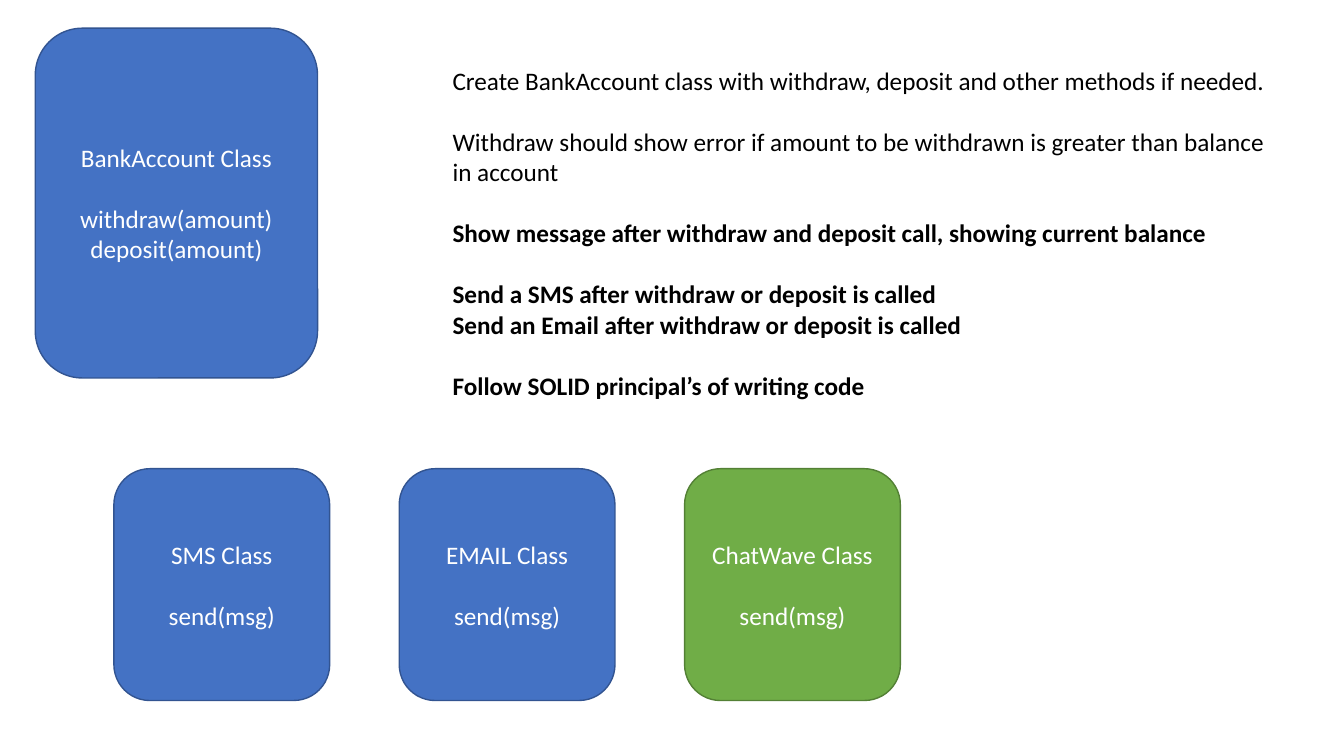
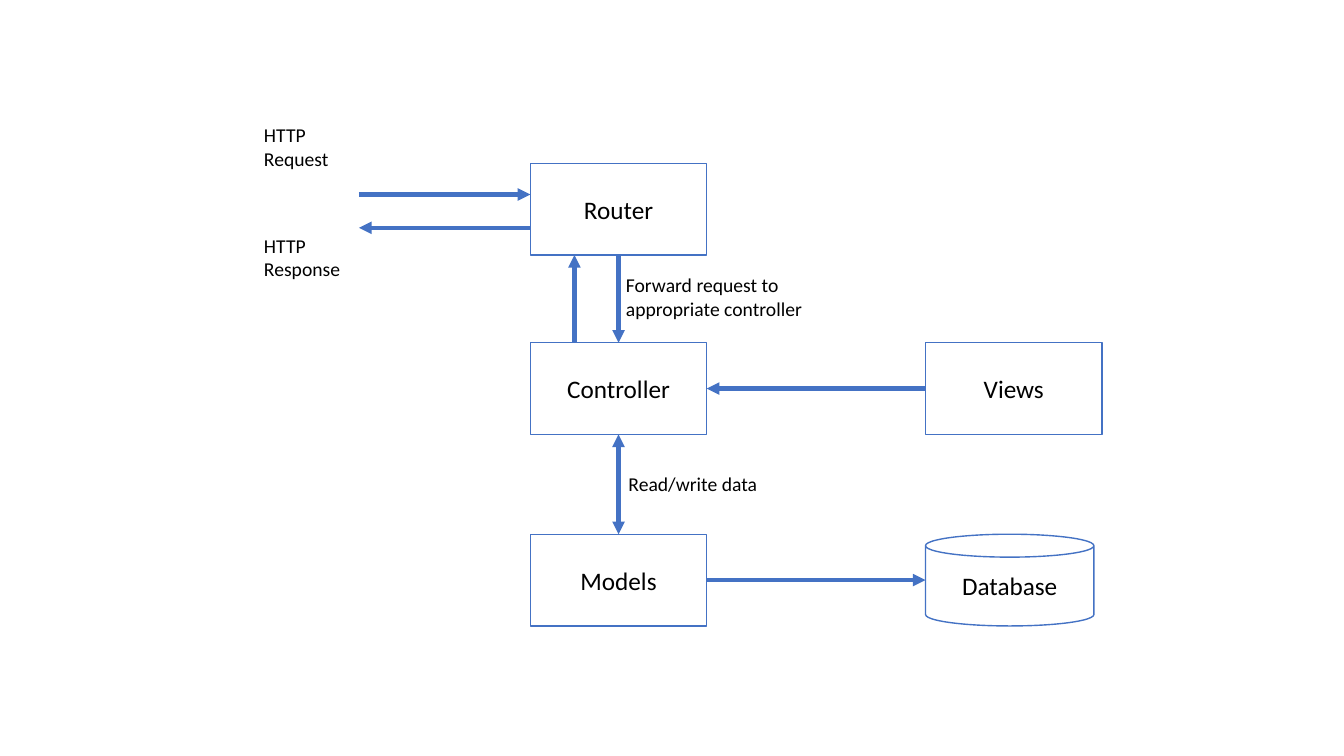
from lxml import etree
from pptx import Presentation
from pptx.dml.color import RGBColor
from pptx.enum.shapes import MSO_CONNECTOR, MSO_SHAPE
from pptx.enum.text import MSO_ANCHOR, PP_ALIGN
from pptx.oxml.ns import qn
from pptx.util import Inches, Pt

BLUE = RGBColor(0x44, 0x72, 0xC4)
DARK_BLUE = RGBColor(0x32, 0x54, 0x91)
GREEN = RGBColor(0x70, 0xAD, 0x47)
DARK_GREEN = RGBColor(0x53, 0x80, 0x35)
WHITE = RGBColor(0xFF, 0xFF, 0xFF)
BLACK = RGBColor(0, 0, 0)

FONT = "Calibri"
BODY_SIZE, LABEL_SIZE = 18, 14
GROUP_GAP = Pt(22)

ROUNDED, RECTANGLE, CAN = MSO_SHAPE.ROUNDED_RECTANGLE, MSO_SHAPE.RECTANGLE, MSO_SHAPE.CAN
STRAIGHT = MSO_CONNECTOR.STRAIGHT
LEFT, CENTER, MIDDLE = PP_ALIGN.LEFT, PP_ALIGN.CENTER, MSO_ANCHOR.MIDDLE
TOP_SITE, LEFT_SITE, BOTTOM_SITE, RIGHT_SITE = range(4)


def add_text(page, groups, left, top, width, height, shape=None, fill=None, line=None,
             size=BODY_SIZE, color=BLACK, bold_from=None):
    """Add a text box, or a filled shape with centred text, from groups of lines.

    Groups stand one line apart; those from index bold_from on are bold.
    """
    area = [Inches(length) for length in (left, top, width, height)]
    if shape is None:
        box = page.shapes.add_textbox(*area)
    else:
        box = page.shapes.add_shape(shape, *area)
        box.shadow.inherit = False
        box.fill.solid()
        box.fill.fore_color.rgb = fill
        box.line.color.rgb = line
        box.line.width = Pt(1)
        box.text_frame.vertical_anchor = MIDDLE
    frame = box.text_frame
    frame.word_wrap = True
    para = frame.paragraphs[0]
    for group_number, group in enumerate(groups):
        for line_number, text in enumerate(group):
            if group_number or line_number:
                para = frame.add_paragraph()
            if group_number and not line_number:
                para.space_before = GROUP_GAP
            para.alignment = CENTER if shape is not None else LEFT
            span = para.add_run()
            span.text = text
            span.font.name = FONT
            span.font.size = Pt(size)
            span.font.color.rgb = color
            span.font.bold = bold_from is not None and group_number >= bold_from
    return box


def add_arrow(page, start, end, both_ends=False):
    arrow = page.shapes.add_connector(STRAIGHT, *(Inches(value) for value in start + end))
    arrow.line.color.rgb = BLUE
    arrow.line.width = Pt(3)
    line = arrow.line._get_or_add_ln()
    for tag in ("a:headEnd", "a:tailEnd") if both_ends else ("a:tailEnd",):
        etree.SubElement(line, qn(tag), type="triangle")
    etree.SubElement(arrow._element.spPr, qn("a:effectLst"))
    return arrow


deck = Presentation()
deck.slide_width, deck.slide_height = Inches(13.33), Inches(7.5)
blank_layout = deck.slide_layouts[6]

# Bank account exercise
page = deck.slides.add_slide(blank_layout)
add_text(page, [["BankAccount Class"], ["withdraw(amount)", "deposit(amount)"]],
         0.35, 0.28, 2.8, 3.47, shape=ROUNDED, fill=BLUE, line=DARK_BLUE, color=WHITE)
add_text(page, [
    ["Create BankAccount class with withdraw, deposit and other methods if needed."],
    ["Withdraw should show error if amount to be withdrawn is greater than balance",
     "in account"],
    ["Show message after withdraw and deposit call, showing current balance"],
    ["Send a SMS after withdraw or deposit is called",
     "Send an Email after withdraw or deposit is called"],
    ["Follow SOLID principal’s of writing code"],
], 4.39, 0.6, 8.41, 3.43, bold_from=2)

SENDER_LEFT, SENDER_TOP, SENDER_STEP = 1.13, 4.65, 2.83
senders = [("SMS Class", BLUE, DARK_BLUE),
           ("EMAIL Class", BLUE, DARK_BLUE),
           ("ChatWave Class", GREEN, DARK_GREEN)]
for column, (name, fill, line) in enumerate(senders):
    add_text(page, [[name], ["send(msg)"]], SENDER_LEFT + column * SENDER_STEP, SENDER_TOP,
             2.14, 2.3, shape=ROUNDED, fill=fill, line=line, color=WHITE)

# Request flow through router, controller and models
page = deck.slides.add_slide(blank_layout)
BOX_WIDTH, BOX_HEIGHT, CAN_WIDTH = 1.75, 0.91, 1.67
MAIN_LEFT, SIDE_LEFT, CLIENT_X = 5.26, 9.18, 3.56
ROUTER_TOP, CONTROLLER_TOP, MODELS_TOP = 1.62, 3.4, 5.3
main_right = MAIN_LEFT + BOX_WIDTH
main_center = MAIN_LEFT + BOX_WIDTH / 2
return_x = MAIN_LEFT + BOX_WIDTH / 4
router_bottom = ROUTER_TOP + BOX_HEIGHT
models_middle = MODELS_TOP + BOX_HEIGHT / 2

parts = {}
for name, left, top, width, shape in [
    ("Router", MAIN_LEFT, ROUTER_TOP, BOX_WIDTH, RECTANGLE),
    ("Controller", MAIN_LEFT, CONTROLLER_TOP, BOX_WIDTH, RECTANGLE),
    ("Models", MAIN_LEFT, MODELS_TOP, BOX_WIDTH, RECTANGLE),
    ("Views", SIDE_LEFT, CONTROLLER_TOP, BOX_WIDTH, RECTANGLE),
    ("Database", SIDE_LEFT, MODELS_TOP, CAN_WIDTH, CAN),
]:
    parts[name] = add_text(page, [[name]], left, top, width, BOX_HEIGHT,
                           shape=shape, fill=WHITE, line=BLUE)

for start, end in [
    ((CLIENT_X, 1.93), (MAIN_LEFT, 1.93)),
    ((MAIN_LEFT, 2.26), (CLIENT_X, 2.26)),
    ((return_x, CONTROLLER_TOP), (return_x, router_bottom)),
    ((main_right, models_middle), (SIDE_LEFT, models_middle)),
]:
    add_arrow(page, start, end)

for source, source_site, target, target_site, both_ends in [
    ("Router", BOTTOM_SITE, "Controller", TOP_SITE, False),
    ("Controller", BOTTOM_SITE, "Models", TOP_SITE, True),
    ("Views", LEFT_SITE, "Controller", RIGHT_SITE, False),
]:
    arrow = add_arrow(page, (0, 0), (1, 1), both_ends)
    arrow.begin_connect(parts[source], source_site)
    arrow.end_connect(parts[target], target_site)

for lines, left, top, width, height in [
    (["HTTP", "Request"], 2.52, 1.17, 1.1, 0.74),
    (["HTTP", "Response"], 2.52, 2.27, 1.1, 0.74),
    (["Forward request to", "appropriate controller"], 6.11, 2.66, 2.1, 0.57),
    (["Read/write data"], main_center, 4.63, 1.6, 0.34),
]:
    add_text(page, [lines], left, top, width, height, size=LABEL_SIZE)

deck.save("out.pptx")
